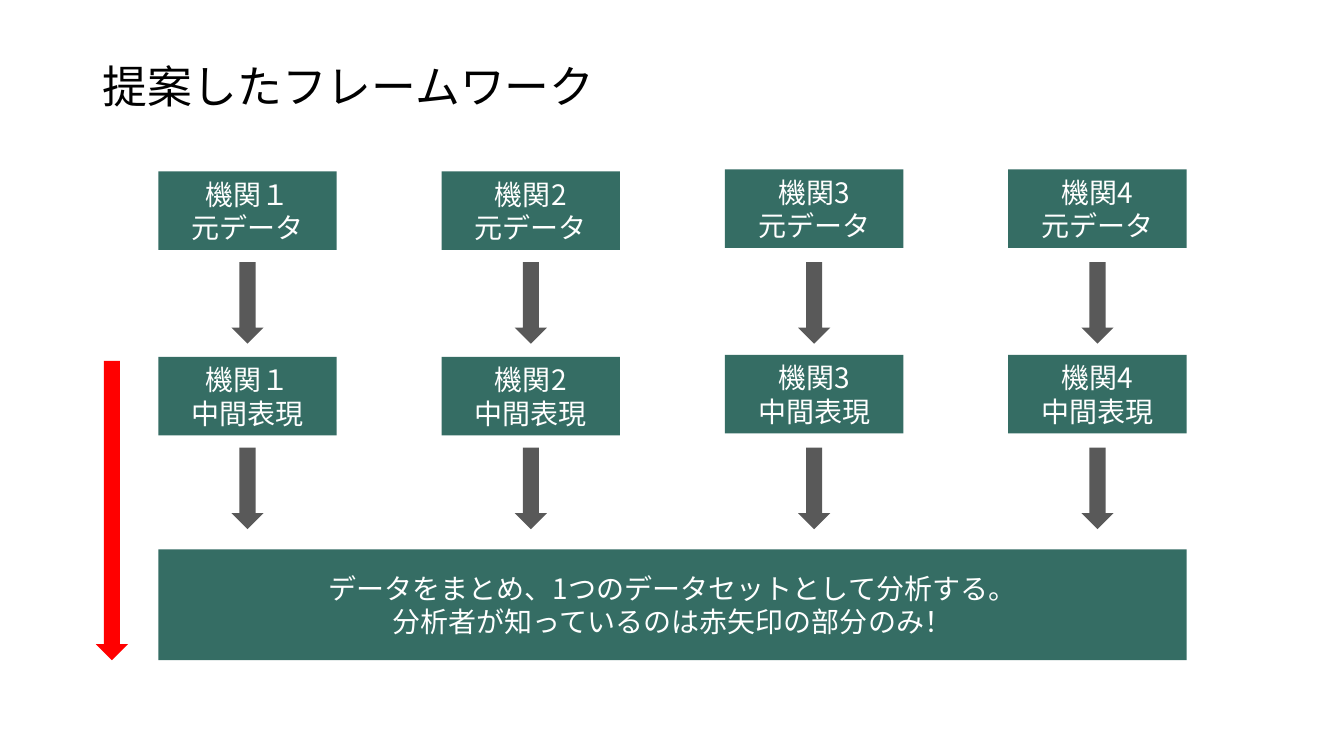
from dataclasses import dataclass

from lxml.etree import SubElement
from pptx import Presentation
from pptx.dml.color import RGBColor
from pptx.enum.shapes import MSO_SHAPE
from pptx.enum.text import MSO_ANCHOR, PP_ALIGN
from pptx.oxml.ns import qn
from pptx.util import Inches, Pt


@dataclass(frozen=True)
class Theme:
    font: str = "Noto Sans CJK JP"
    title_size: int = 32
    body_size: int = 20
    title_color: str = "000000"
    box_text: str = "FFFFFF"
    box_fill: str = "356D64"
    arrow: str = "595959"
    highlight: str = "FF0000"


@dataclass(frozen=True)
class Box:
    left: float
    top: float
    width: float
    height: float

    def inches(self):
        return [Inches(v) for v in (self.left, self.top, self.width, self.height)]


THEME = Theme()
INSTITUTIONS = ["機関１", "機関2", "機関3", "機関4"]
STAGES = ["元データ", "中間表現"]
SUMMARY = [
    "データをまとめ、1つのデータセットとして分析する。",
    "分析者が知っているのは赤矢印の部分のみ！",
]
DIAGRAM = Box(1.57, 1.7, 10.2, 4.85)
CELL_WIDTH, CELL_HEIGHT = 1.77, 0.78
COLUMN_STEP = (DIAGRAM.width - CELL_WIDTH) / (len(INSTITUTIONS) - 1)
ROW_STEP = 1.84
RIGHT_HALF_LIFT = 0.02
ARROW_WIDTH, ARROW_HEIGHT, ARROW_GAP = 0.32, 0.81, 0.12
SUMMARY_HEIGHT = 1.1


def write_lines(frame, lines, size, color, **paragraph_format):
    frame.text = "\n".join(lines)
    frame.vertical_anchor = MSO_ANCHOR.MIDDLE
    frame.word_wrap = True
    for para in frame.paragraphs:
        for name, value in paragraph_format.items():
            setattr(para, name, value)
        for span in para.runs:
            span.font.color.rgb = RGBColor.from_string(color)
            for name, value in {"size": Pt(size), "name": THEME.font}.items():
                setattr(span.font, name, value)
            east_asian = SubElement(span.font._element, qn("a:ea"))
            east_asian.set("typeface", THEME.font)


def add_solid(shapes, kind, box, color):
    shape = shapes.add_shape(kind, *box.inches())
    shape.shadow.inherit = False
    shape.fill.solid()
    shape.fill.fore_color.rgb = RGBColor.from_string(color)
    shape.line.fill.background()
    return shape


def add_label(shapes, box, lines):
    label = add_solid(shapes, MSO_SHAPE.RECTANGLE, box, THEME.box_fill)
    write_lines(label.text_frame, lines, THEME.body_size, THEME.box_text,
                alignment=PP_ALIGN.CENTER)


def add_title(page, box, text):
    title = page.shapes.title
    for name, value in zip(("left", "top", "width", "height"), box.inches()):
        setattr(title, name, value)
    write_lines(title.text_frame, [text], THEME.title_size, THEME.title_color,
                alignment=PP_ALIGN.LEFT, line_spacing=0.9)


def add_stage(page, box, stage):
    """Draw one row of institution boxes, each with an arrow below it."""
    row = page.shapes.add_group_shape().shapes
    for column, institution in enumerate(INSTITUTIONS):
        left = box.left + column * COLUMN_STEP
        lift = RIGHT_HALF_LIFT if column >= len(INSTITUTIONS) / 2 else 0
        add_label(row, Box(left, box.top - lift, CELL_WIDTH, CELL_HEIGHT),
                  [institution, stage])
        arrow = Box(left + (CELL_WIDTH - ARROW_WIDTH) / 2,
                    box.top + CELL_HEIGHT + ARROW_GAP, ARROW_WIDTH, ARROW_HEIGHT)
        add_solid(page.shapes, MSO_SHAPE.DOWN_ARROW, arrow, THEME.arrow)


def add_framework(page, box):
    for index, stage in enumerate(STAGES):
        add_stage(page, Box(box.left, box.top + index * ROW_STEP,
                            box.width, CELL_HEIGHT), stage)
    bottom = box.top + box.height
    add_label(page.shapes, Box(box.left, bottom - SUMMARY_HEIGHT,
                               box.width, SUMMARY_HEIGHT), SUMMARY)
    known_height = 2.97
    add_solid(page.shapes, MSO_SHAPE.DOWN_ARROW,
              Box(box.left - 0.62, bottom - known_height, ARROW_WIDTH, known_height),
              THEME.highlight)


def main():
    deck = Presentation()
    deck.slide_width, deck.slide_height = Inches(13.33), Inches(7.5)
    page = deck.slides.add_slide(deck.slide_layouts.get_by_name("Title Only"))
    add_title(page, Box(0.92, 0.43, 11.5, 0.91), "提案したフレームワーク")
    add_framework(page, DIAGRAM)
    deck.save("out.pptx")


if __name__ == "__main__":
    main()
